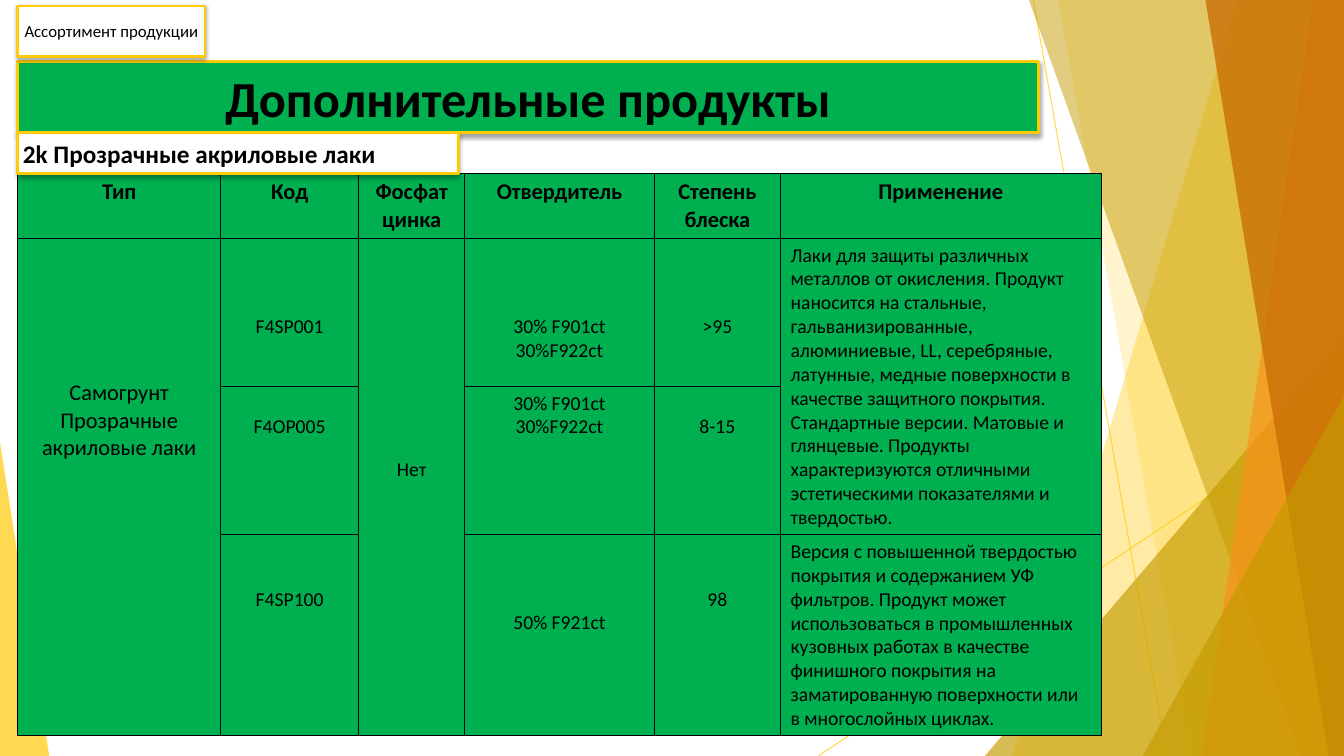
"""Build a slide listing clear acrylic varnishes in a table."""
from lxml import etree
from pptx import Presentation
from pptx.dml.color import RGBColor
from pptx.enum.shapes import MSO_CONNECTOR as CONN, MSO_SHAPE as SHAPE
from pptx.enum.text import MSO_ANCHOR as ANCHOR, PP_ALIGN as ALIGN
from pptx.oxml.ns import qn
from pptx.util import Cm, Pt

W, H = 33.87, 19.05
GREEN, GOLD, OLIVE, BLACK, WHITE = "00B050", "FFCA08", "C59B00", "000000", "FFFFFF"
RAYS = [(26.04, 0, 29.41, H), (W, 10.24, 20.62, H)]
FACETS = [
    ("band", 31.19, 25.5, GOLD, 36),
    ("band", 26.67, 30.05, GOLD, 20),
    ("right", 24.82, 8.46, OLIVE, 66),
    ("band", 25.93, 32.79, OLIVE, 50),
    ("band", 33.1, 30.28, "F8931D", 70),
    ("band", 30.38, 33.48, "CA6F06", 80),
    ("right", 28.8, 9.98, OLIVE, 66),
    ("left", 1.24, 11.15, GOLD, 70),
]
LEFT = 0.45
TITLE = ("Дополнительные продукты", 1.55, 25.73, 1.8, GREEN, 36, True, ALIGN.CENTER)
SECTION = ("Ассортимент продукции", 0.15, 4.72, 1.27, WHITE, 12, False, ALIGN.CENTER)
SUBTITLE = ("2k Прозрачные акриловые лаки", 3.35, 11.1, 1.02, WHITE, 18, True, ALIGN.LEFT)
TABLE_TOP = 4.37
COLS = [5.11, 3.48, 2.67, 4.78, 3.18, 8.08]
ROWS = [1.62, 3.73, 3.65, 4.99]
HEADER = ["Тип", "Код", "Фосфат цинка", "Отвердитель", "Степень блеска", "Применение"]
MERGES = [(1, 0, 3, 0), (1, 2, 3, 2), (1, 5, 2, 5)]
PAD, LINE = 0.13, 0.6
BODY = {
    (1, 0): ("Самогрунт\nПрозрачные акриловые лаки", 5),
    (1, 1): ("F4SP001", 3),
    (1, 2): ("Нет", 9),
    (1, 3): ("30% F901ct 30%F922ct", 3),
    (1, 4): (">95", 3),
    (1, 5): ("Лаки для защиты различных металлов от окисления. Продукт наносится на "
             "стальные, гальванизированные, алюминиевые, LL, серебряные, латунные, медные "
             "поверхности в качестве защитного покрытия. Стандартные версии. Матовые и "
             "глянцевые. Продукты характеризуются отличными эстетическими показателями и "
             "твердостью.", 0),
    (2, 1): ("F4OP005", 1),
    (2, 3): ("30% F901ct 30%F922ct", 0),
    (2, 4): ("8-15", 1),
    (3, 1): ("F4SP100", 2),
    (3, 3): ("50% F921ct", 3),
    (3, 4): ("98", 2),
    (3, 5): ("Версия с повышенной твердостью покрытия и содержанием УФ фильтров. Продукт "
             "может использоваться в промышленных кузовных работах в качестве финишного "
             "покрытия на заматированную поверхности или в многослойных циклах.", 0),
}


def paint(fmt, color, alpha=100):
    fmt.solid()
    fmt.fore_color.rgb = RGBColor.from_string(color)
    if alpha < 100:
        clr = fmt._xPr.find(qn("a:solidFill"))[0]
        etree.SubElement(clr, qn("a:alpha"), val=str(alpha * 1000))


def write(tf, text, size, bold, align):
    tf.text = text
    for p in tf.paragraphs:
        p.alignment = align
        for r in p.runs:
            r.font.name, r.font.size, r.font.bold = "Calibri", Pt(size), bold
            paint(r.font.fill, BLACK)


def add_ray(shapes, x1, y1, x2, y2):
    s = shapes.add_connector(CONN.STRAIGHT, Cm(x1), Cm(y1), Cm(x2), Cm(y2))
    s.line.width = Pt(0.75)
    paint(s.line.fill, GOLD, 70)
    etree.SubElement(s._element.spPr, qn("a:effectLst"))


def add_facet(shapes, kind, a, b, color, alpha):
    if kind == "band":
        fb = shapes.build_freeform(Cm(a), 0)
        fb.add_line_segments([(Cm(W), 0), (Cm(W), Cm(H)), (Cm(b), Cm(H))])
        s = fb.convert_to_shape()
    else:
        x, width = (a, W - a) if kind == "right" else (0, a)
        s = shapes.add_shape(SHAPE.ISOSCELES_TRIANGLE, Cm(x), Cm(b), Cm(width), Cm(H - b))
        s.adjustments[0] = 1 if kind == "right" else 0
    s.shadow.inherit = False
    s.line.fill.background()
    paint(s.fill, color, alpha)


def add_label(shapes, text, top, width, height, color, size, bold, align):
    s = shapes.add_shape(SHAPE.RECTANGLE, Cm(LEFT), Cm(top), Cm(width), Cm(height))
    paint(s.fill, color)
    paint(s.line.fill, GOLD)
    s.line.width = Pt(2)
    s.shadow.inherit = False
    shadow = etree.SubElement(s._element.spPr.find(qn("a:effectLst")), qn("a:outerShdw"),
                              blurRad=str(Pt(3)), dist=str(Pt(1.8)), dir="5400000",
                              rotWithShape="0")
    clr = etree.SubElement(shadow, qn("a:srgbClr"), val=BLACK)
    etree.SubElement(clr, qn("a:alpha"), val="35000")
    tf = s.text_frame
    tf.word_wrap = True
    tf.vertical_anchor = ANCHOR.MIDDLE
    tf.margin_left = tf.margin_right = tf.margin_top = tf.margin_bottom = Cm(PAD)
    write(tf, text, size, bold, align)


def style_cell(cell):
    paint(cell.fill, GREEN)
    tc_pr = cell._tc.get_or_add_tcPr()
    for i, side in enumerate(("lnL", "lnR", "lnT", "lnB")):
        ln = etree.Element(qn(f"a:{side}"), w=str(Pt(1)))
        fill = etree.SubElement(ln, qn("a:solidFill"))
        etree.SubElement(fill, qn("a:srgbClr"), val=BLACK)
        tc_pr.insert(i, ln)


def add_products(shapes):
    table = shapes.add_table(len(ROWS), len(COLS), Cm(LEFT), Cm(TABLE_TOP),
                             Cm(sum(COLS)), Cm(sum(ROWS))).table
    table.first_row = table.horz_banding = False
    for col, width in zip(table.columns, COLS):
        col.width = Cm(width)
    for row, height in zip(table.rows, ROWS):
        row.height = Cm(height)
    for cell in table.iter_cells():
        style_cell(cell)
    for r1, c1, r2, c2 in MERGES:
        table.cell(r1, c1).merge(table.cell(r2, c2))
    for c, text in enumerate(HEADER):
        write(table.cell(0, c).text_frame, text, 16, True, ALIGN.CENTER)
    for (r, c), (text, lines_down) in BODY.items():
        cell = table.cell(r, c)
        size = 16 if c == 0 else 14
        cell.margin_top = Cm(PAD + lines_down * LINE * size / 14)
        write(cell.text_frame, text, size, False, ALIGN.LEFT if c == 5 else ALIGN.CENTER)


def main():
    prs = Presentation()
    prs.slide_width, prs.slide_height = Cm(W), Cm(H)
    shapes = prs.slides.add_slide(prs.slide_layouts[6]).shapes
    for ray in RAYS:
        add_ray(shapes, *ray)
    for facet in FACETS:
        add_facet(shapes, *facet)
    add_label(shapes, *TITLE)
    add_label(shapes, *SECTION)
    add_products(shapes)
    add_label(shapes, *SUBTITLE)
    prs.save("out.pptx")


if __name__ == "__main__":
    main()
